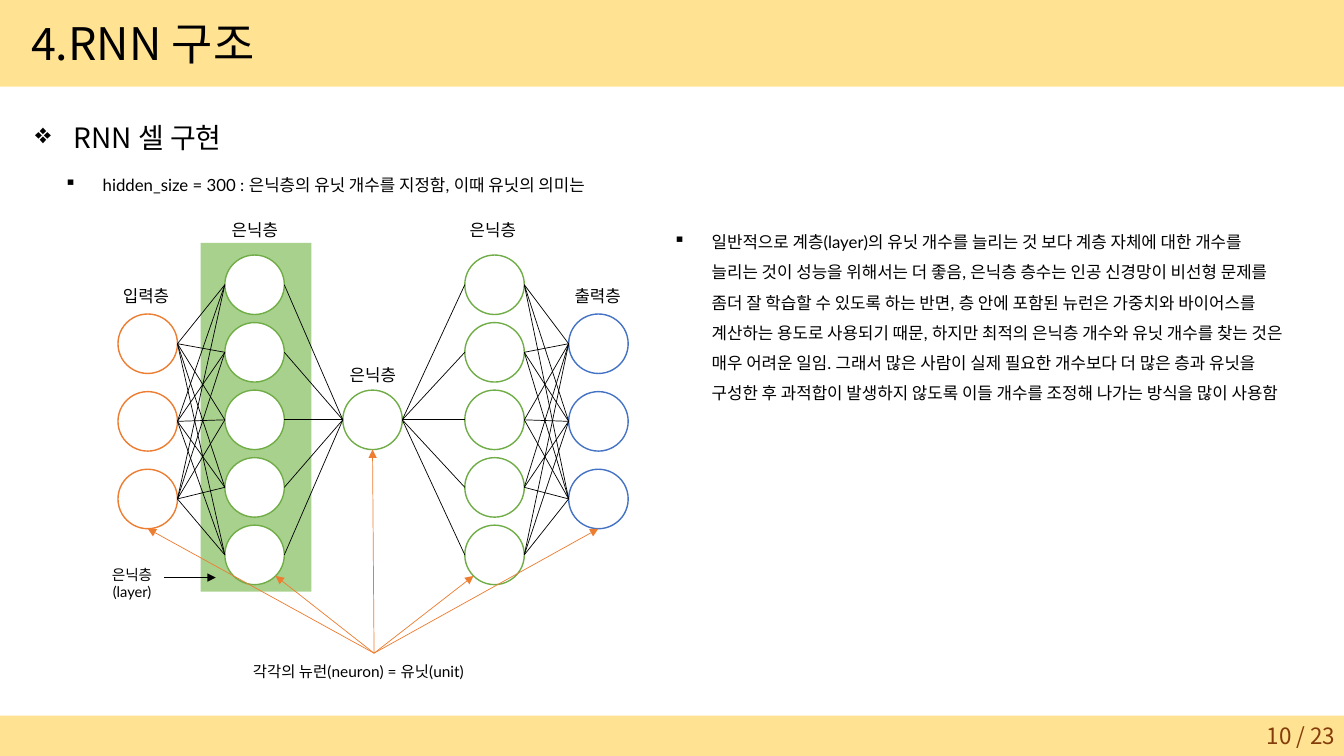
import math

import pptx
import pptx.dml.color
import pptx.enum.shapes
import pptx.enum.text
import pptx.oxml
import pptx.oxml.ns
import pptx.util
from pptx.util import Inches

THEME = {
    "bar": "FFE292", "ink": "000000", "page": "843C0B", "white": "FFFFFF",
    "highlight": "A9D18E", "input": "ED7D31", "hidden": "70AD47", "output": "4472C4",
    "arrow": "ED7D31", "sans": "Noto Sans CJK KR", "latin": "Lato",
    "title": 32, "heading": 20, "body": 12, "label": 12, "note": 11, "small": 10.5,
    "number": 16, "thin": 0.5, "ring": 1,
}

# left, top, width, height
BARS = [(0, 0, 13.33, 0.86), (0, 7.1, 13.33, 0.4)]
HIGHLIGHT = (1.99, 2.41, 1.1, 3.46)

# text, box, size, font
TITLE = ("4.RNN 구조", (0.21, 0.11, 2.63, 0.64), "title", "sans")
NOTE = ("각각의 뉴런(neuron) = 유닛(unit)", (2.41, 6.52, 2.61, 0.29), "note", "latin")
LAYER_NOTE = ("은닉층\n(layer)", (0.94, 5.56, 0.74, 0.47), "small", "latin")
PAGE = ("10 / 23", (10.34, 7.1, 3, 0.4), "number", "sans")
EXPLANATION = "\v".join([
    "일반적으로 계층(layer)의 유닛 개수를 늘리는 것 보다 계층 자체에 대한 개수를",
    "늘리는 것이 성능을 위해서는 더 좋음, 은닉층 층수는 인공 신경망이 비선형 문제를",
    "좀더 잘 학습할 수 있도록 하는 반면, 층 안에 포함된 뉴런은 가중치와 바이어스를",
    "계산하는 용도로 사용되기 때문, 하지만 최적의 은닉층 개수와 유닛 개수를 찾는 것은",
    "매우 어려운 일임. 그래서 많은 사람이 실제 필요한 개수보다 더 많은 층과 유닛을",
    "구성한 후 과적합이 발생하지 않도록 이들 개수를 조정해 나가는 방식을 많이 사용함",
])
BULLETS = [
    ("❖", "RNN 셀 구현", (0.25, 0.98, 2.16, 0.56), "heading", "sans"),
    ("▪", "hidden_size = 300 : 은닉층의 유닛 개수를 지정함, 이때 유닛의 의미는",
     (0.54, 1.58, 5.74, 0.37), "body", "latin"),
    ("▪", EXPLANATION, (6.58, 2.15, 6.49, 1.89), "body", "latin"),
]

# label, label left and top, colour, fill, centre x, centre y, units, pitch
LAYERS = [
    ("입력층", (1.12, 2.79), "input", None, 1.465, 4.18, 3, 0.77),
    ("은닉층", (2.2, 2.13), "hidden", "white", 2.525, 4.165, 5, 0.67),
    ("은닉층", (3.37, 3.57), "hidden", None, 3.695, 4.165, 1, 0),
    ("은닉층", (4.56, 2.13), "hidden", "white", 4.905, 4.165, 5, 0.67),
    ("출력층", (5.6, 2.79), "output", None, 5.935, 4.18, 3, 0.77),
]
LABEL_SIZE = (0.68, 0.3)
RADIUS = 0.295
ARROW_ORIGIN = (3.71, 6.48)
ARROW_ANGLES = [90, 45, 90, 135, 90]  # where each layer's last unit is touched
LAYER_ARROW = ((1.63, 5.73), (2.14, 5.73))


def rgb(name):
    return pptx.dml.color.RGBColor.from_string(THEME[name])


def add_filled(shapes, kind, box, fill, line=None):
    sp = shapes.add_shape(kind, *map(Inches, box))
    sp.shadow.inherit = False
    if fill:
        sp.fill.solid()
        sp.fill.fore_color.rgb = rgb(fill)
    else:
        sp.fill.background()
    if line:
        sp.line.color.rgb = rgb(line)
        sp.line.width = pptx.util.Pt(THEME["ring"])
    else:
        sp.line.fill.background()
    return sp


def add_text(shapes, text, box, size, font, color="ink", wrap=False):
    tf = shapes.add_textbox(*map(Inches, box)).text_frame
    tf.word_wrap = wrap
    if not wrap:
        tf.auto_size = pptx.enum.text.MSO_AUTO_SIZE.SHAPE_TO_FIT_TEXT
    tf.text = text
    for p in tf.paragraphs:
        for r in p.runs:
            r.font.size = pptx.util.Pt(THEME[size])
            r.font.name = THEME[font]
            r.font.color.rgb = rgb(color)
            ea = pptx.oxml.parse_xml(
                f'<a:ea {pptx.oxml.ns.nsdecls("a")} typeface="{THEME["sans"]}"/>')
            r.font._element.find(pptx.oxml.ns.qn("a:latin")).addnext(ea)
    return tf


def add_bullet(shapes, mark, *text_args):
    p = add_text(shapes, *text_args).paragraphs[0]
    pPr = p._p.get_or_add_pPr()
    pPr.set("marL", str(Inches(0.38)))
    pPr.set("indent", str(Inches(-0.38)))
    pPr.append(pptx.oxml.parse_xml(
        f'<a:buChar {pptx.oxml.ns.nsdecls("a")} char="{mark}"/>'))
    p.line_spacing = 1.5


def add_line(shapes, start, end, color="ink", arrow=False):
    line = shapes.add_connector(
        pptx.enum.shapes.MSO_CONNECTOR.STRAIGHT, *map(Inches, (*start, *end)))
    line.line.color.rgb = rgb(color)
    line.line.width = pptx.util.Pt(THEME["thin"])
    ns = pptx.oxml.ns.nsdecls("a")
    if arrow:
        line.line._get_or_add_ln().append(
            pptx.oxml.parse_xml(f'<a:tailEnd {ns} type="triangle"/>'))
    line._element.spPr.append(pptx.oxml.parse_xml(f"<a:effectLst {ns}/>"))


def unit_centres(layer):
    x, y, count, pitch = layer[4:]
    return [(x, y + (i - (count - 1) / 2) * pitch) for i in range(count)]


def draw_network(shapes):
    kinds = pptx.enum.shapes.MSO_SHAPE
    add_filled(shapes, kinds.RECTANGLE, HIGHLIGHT, "highlight")
    centres = [unit_centres(layer) for layer in LAYERS]
    for layer, units in zip(LAYERS, centres):
        for x, y in units:
            box = (x - RADIUS, y - RADIUS, 2 * RADIUS, 2 * RADIUS)
            add_filled(shapes, kinds.OVAL, box, layer[3], layer[2])
    for left_units, right_units in zip(centres, centres[1:]):
        for x1, y1 in left_units:
            for x2, y2 in right_units:
                add_line(shapes, (x1 + RADIUS, y1), (x2 - RADIUS, y2))
    for layer in LAYERS:
        add_text(shapes, layer[0], (*layer[1], *LABEL_SIZE), "label", "latin")
    for units, degrees in zip(centres, ARROW_ANGLES):
        x, y = units[-1]
        angle = math.radians(degrees)
        tip = (x + RADIUS * math.cos(angle), y + RADIUS * math.sin(angle))
        add_line(shapes, ARROW_ORIGIN, tip, "arrow", arrow=True)
    add_text(shapes, *NOTE)
    for p in add_text(shapes, *LAYER_NOTE).paragraphs:
        p.alignment = pptx.enum.text.PP_ALIGN.CENTER
    add_line(shapes, *LAYER_ARROW, arrow=True)


def main():
    prs = pptx.Presentation()
    prs.slide_width, prs.slide_height = Inches(13.33), Inches(7.5)
    s = prs.slides.add_slide(prs.slide_layouts[6])
    for bar in BARS:
        add_filled(s.shapes, pptx.enum.shapes.MSO_SHAPE.RECTANGLE, bar, "bar")
    add_text(s.shapes, *TITLE)
    for bullet in BULLETS:
        add_bullet(s.shapes, *bullet)
    draw_network(s.shapes.add_group_shape().shapes)
    tf = add_text(s.shapes, *PAGE, color="page", wrap=True)
    tf.vertical_anchor = pptx.enum.text.MSO_ANCHOR.MIDDLE
    tf.paragraphs[0].alignment = pptx.enum.text.PP_ALIGN.RIGHT
    prs.save("out.pptx")


if __name__ == "__main__":
    main()
